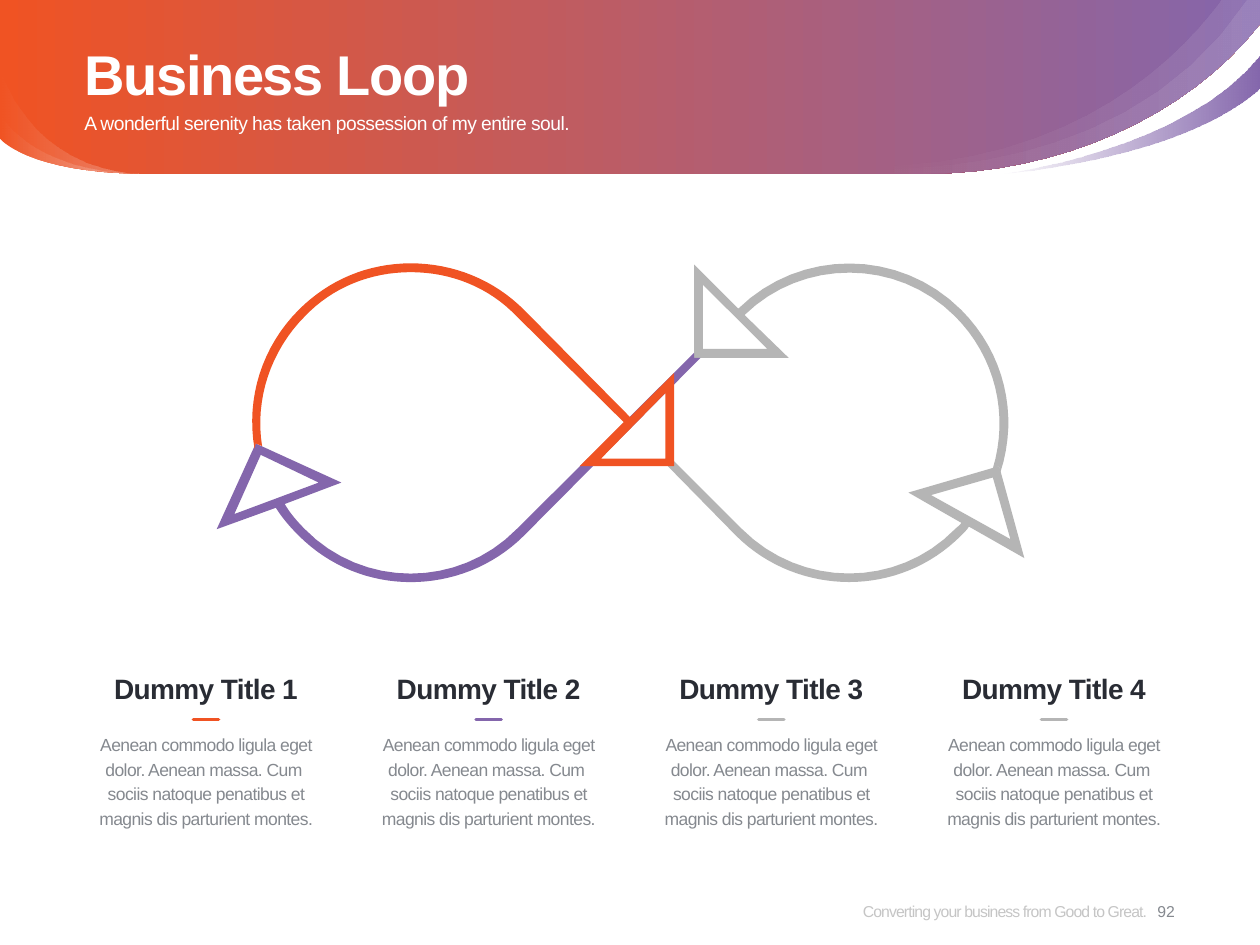
from lxml import etree
from pptx import Presentation
from pptx.dml.color import RGBColor
from pptx.enum.shapes import MSO_CONNECTOR
from pptx.enum.text import MSO_ANCHOR, PP_ALIGN
from pptx.oxml import parse_xml
from pptx.oxml.ns import nsdecls, qn
from pptx.util import Inches, Pt

ORANGE, PURPLE, GRAY, WHITE = "F05323", "8466AC", "B5B5B5", "FFFFFF"
TEXT_GRAY, DARK = "85898F", "292C34"
CURVE_STEPS = 16

deck = Presentation()
deck.slide_width, deck.slide_height = Inches(10), Inches(7.5)
page = deck.slides.add_slide(deck.slide_layouts[6])


def draw_outline(contours, color=None, stops=None):
    """Contours hold points (x, y) and cubic curves (x1, y1, x2, y2, x, y), in inches.
    Stops are (position %, colour, opacity %) of a left-to-right gradient."""
    builder = None
    for contour in contours:
        start = contour[0]
        points, last = [], start
        for step in contour[1:]:
            if len(step) == 2:
                points.append(step)
            else:
                for n in range(1, CURVE_STEPS + 1):
                    t = n / CURVE_STEPS
                    weights = ((1 - t) ** 3, 3 * t * (1 - t) ** 2, 3 * t * t * (1 - t), t ** 3)
                    points.append((sum(w * v for w, v in zip(weights, (last[0], *step[0::2]))),
                                   sum(w * v for w, v in zip(weights, (last[1], *step[1::2])))))
            last = step[-2:]
        first = [Inches(v) for v in start]
        if builder is None:
            builder = page.shapes.build_freeform(*first)
        else:
            builder.move_to(*first)
        builder.add_line_segments([(Inches(x), Inches(y)) for x, y in points], close=True)
    shape = builder.convert_to_shape()
    shape.shadow.inherit = False
    shape.line.fill.background()
    if color:
        shape.fill.solid()
        shape.fill.fore_color.rgb = RGBColor.from_string(color)
    else:
        marks = "".join(
            f'<a:gs pos="{pos * 1000}"><a:srgbClr val="{tint}">'
            f'<a:alpha val="{opacity * 1000}"/></a:srgbClr></a:gs>'
            for pos, tint, opacity in stops)
        gradient = parse_xml(f'<a:gradFill {nsdecls("a")} rotWithShape="1"><a:gsLst>{marks}'
                             '</a:gsLst><a:lin ang="0" scaled="0"/></a:gradFill>')
        shape.element.spPr.find(qn("a:custGeom")).addnext(gradient)


def write_text(place, text, size, color, spacing=0, bold=False, align=PP_ALIGN.LEFT,
               anchor=MSO_ANCHOR.TOP, line_height=None, opacity=None):
    box = page.shapes.add_textbox(*[Inches(v) for v in place])
    frame = box.text_frame
    frame.word_wrap = True
    frame.vertical_anchor = anchor
    frame.margin_left = frame.margin_top = frame.margin_right = frame.margin_bottom = 0
    frame.text = text
    for paragraph in frame.paragraphs:
        paragraph.alignment = align
        if line_height:
            paragraph.line_spacing = Pt(line_height)
        for span in paragraph.runs:
            span.font.name = "Arial"
            span.font.size = Pt(size)
            span.font.bold = bold
            span.font.color.rgb = RGBColor.from_string(color)
            properties = span.font._element
            properties.set("spc", str(round(spacing * 100)))
            if opacity:
                tint = properties.find(".//" + qn("a:srgbClr"))
                etree.SubElement(tint, qn("a:alpha")).set("val", str(opacity * 1000))


# Header band with its swoosh and highlights
right_edge = [(10, 0), (10, 0.19), (9.42, 0.93, 8.4, 1.38, 7.34, 1.38)]
soft_right = [(15, WHITE, 0), (100, WHITE, 10)]
draw_outline([right_edge + [(1.14, 1.38), (0.21, 1.37, 0, 1.1, 0, 1.1), (0, 0)]],
             stops=[(0, ORANGE, 100), (100, PURPLE, 100)])
draw_outline([[(7.94, 1.38), (7.94, 1.38, 9.4, 1.2, 10, 0.43), (10, 0.69),
               (10, 0.69, 9.54, 1.22, 7.94, 1.38)]],
             stops=[(0, PURPLE, 0), (100, PURPLE, 100)])
band_end = [(7.25, 1.38), (6.83, 1.38, 6.53, 1.31, 6.51, 1.31)]
draw_outline([right_edge + band_end + [(8.32, 1.43, 9.26, 0.58, 9.69, 0)]], stops=soft_right)
for top, bend in ((0.89, 1.36), (0.53, 1.35)):
    draw_outline([[(1.14, 1.38), (0.21, 1.37, 0, 1.1, 0, 1.1), (0, top),
                   (0, top, 0.21, bend, 1.14, 1.38)]],
                 stops=[(0, WHITE, 0), (100, WHITE, 30)])
draw_outline([right_edge + band_end + [(6.58, 1.32, 8.82, 1.62, 9.89, 0)]], stops=soft_right)

# Title, subtitle and footer
write_text((0.67, 0.23, 8.66, 0.65), "Business Loop", 32, WHITE, -0.8, bold=True,
           anchor=MSO_ANCHOR.MIDDLE, line_height=42)
write_text((6.04, 6.96, 3.06, 0.54), "Converting your business from Good to Great.", 9,
           "8C8C8C", -0.5, align=PP_ALIGN.RIGHT, anchor=MSO_ANCHOR.MIDDLE, opacity=50)
write_text((9.02, 6.96, 0.47, 0.54), "92", 9, TEXT_GRAY, align=PP_ALIGN.CENTER,
           anchor=MSO_ANCHOR.MIDDLE)
write_text((0.67, 0.88, 8.66, 0.39),
           "A wonderful serenity has taken possession of my entire soul.", 11, WHITE, -0.3)

# Four captions, evenly spread between the margins
margin, column_width, dash_width = 0.67, 1.93, 0.2
pitch = (10 - 2 * margin - column_width) / 3
caption = ("Aenean commodo ligula eget dolor. Aenean massa. Cum \n"
           "sociis natoque penatibus et magnis dis parturient montes.")
for index, color in enumerate((ORANGE, PURPLE, GRAY, GRAY)):
    left = margin + index * pitch
    write_text((left, 5.8, column_width, 0.79), caption, 10, TEXT_GRAY, -0.3,
               align=PP_ALIGN.CENTER, line_height=14)
    write_text((left, 5.33, column_width, 0.27), f"Dummy Title {index + 1}", 16, DARK, -0.3,
               bold=True, align=PP_ALIGN.CENTER)
    dash_left = left + (column_width - dash_width) / 2
    dash = page.shapes.add_connector(MSO_CONNECTOR.STRAIGHT, Inches(dash_left), Inches(5.71),
                                     Inches(dash_left + dash_width), Inches(5.71))
    dash.line.color.rgb = RGBColor.from_string(color)
    dash.line.width = Pt(2)
    dash.line._ln.set("cap", "rnd")
    etree.SubElement(dash._element.spPr, qn("a:effectLst"))

# Loop arrows: outer contour, then the hole of the arrowhead
lower_right = [
    [(7.93, 3.7), (7.21, 3.91), (7.63, 4.15), (7.62, 4.17, 7.6, 4.18, 7.58, 4.2),
     (7.12, 4.67, 6.36, 4.67, 5.89, 4.2), (5.35, 3.66), (5.35, 3.7), (5.3, 3.7), (5.84, 4.25),
     (6.09, 4.5, 6.42, 4.62, 6.74, 4.62), (7.06, 4.62, 7.38, 4.5, 7.63, 4.25),
     (7.65, 4.23, 7.68, 4.2, 7.69, 4.18), (8.13, 4.43)],
    [(7.39, 3.93), (7.88, 3.79), (8.02, 4.28)]]
upper_right = [
    [(7.63, 2.46), (7.14, 1.97, 6.35, 1.97, 5.86, 2.45), (5.51, 2.1), (5.51, 2.84),
     (6.26, 2.84), (5.91, 2.5), (6.37, 2.05, 7.12, 2.05, 7.58, 2.51),
     (7.9, 2.83, 8.01, 3.29, 7.88, 3.72), (7.93, 3.7), (7.94, 3.75),
     (8.09, 3.29, 7.97, 2.8, 7.63, 2.46)],
    [(6.09, 2.77), (5.58, 2.77), (5.58, 2.26)]]
lower_left = [
    [(5.51, 2.84), (5.51, 2.8), (4.1, 4.2), (3.64, 4.67, 2.88, 4.67, 2.42, 4.2),
     (2.36, 4.14, 2.3, 4.07, 2.26, 4), (2.71, 3.83), (2.03, 3.52), (1.72, 4.2), (2.19, 4.03),
     (2.24, 4.11, 2.3, 4.18, 2.37, 4.25), (2.62, 4.5, 2.94, 4.62, 3.26, 4.62),
     (3.58, 4.62, 3.91, 4.5, 4.16, 4.25), (5.56, 2.84)],
    [(1.86, 4.08), (2.07, 3.61), (2.53, 3.83)]]
upper_left = [
    [(5, 3.31), (4.16, 2.46), (3.92, 2.22, 3.6, 2.09, 3.26, 2.09),
     (2.92, 2.09, 2.61, 2.22, 2.37, 2.46), (2.08, 2.75, 1.95, 3.16, 2.02, 3.56), (2.03, 3.52),
     (2.08, 3.54), (2.02, 3.17, 2.15, 2.78, 2.42, 2.51), (2.64, 2.28, 2.94, 2.16, 3.26, 2.16),
     (3.58, 2.16, 3.88, 2.28, 4.1, 2.51), (4.95, 3.35), (4.6, 3.7), (5.35, 3.7), (5.35, 2.96)],
    [(5.28, 3.64), (4.77, 3.64), (5.28, 3.12)]]
for contours, color in ((lower_right, GRAY), (upper_right, GRAY),
                        (lower_left, PURPLE), (upper_left, ORANGE)):
    draw_outline(contours, color)

deck.save("out.pptx")
